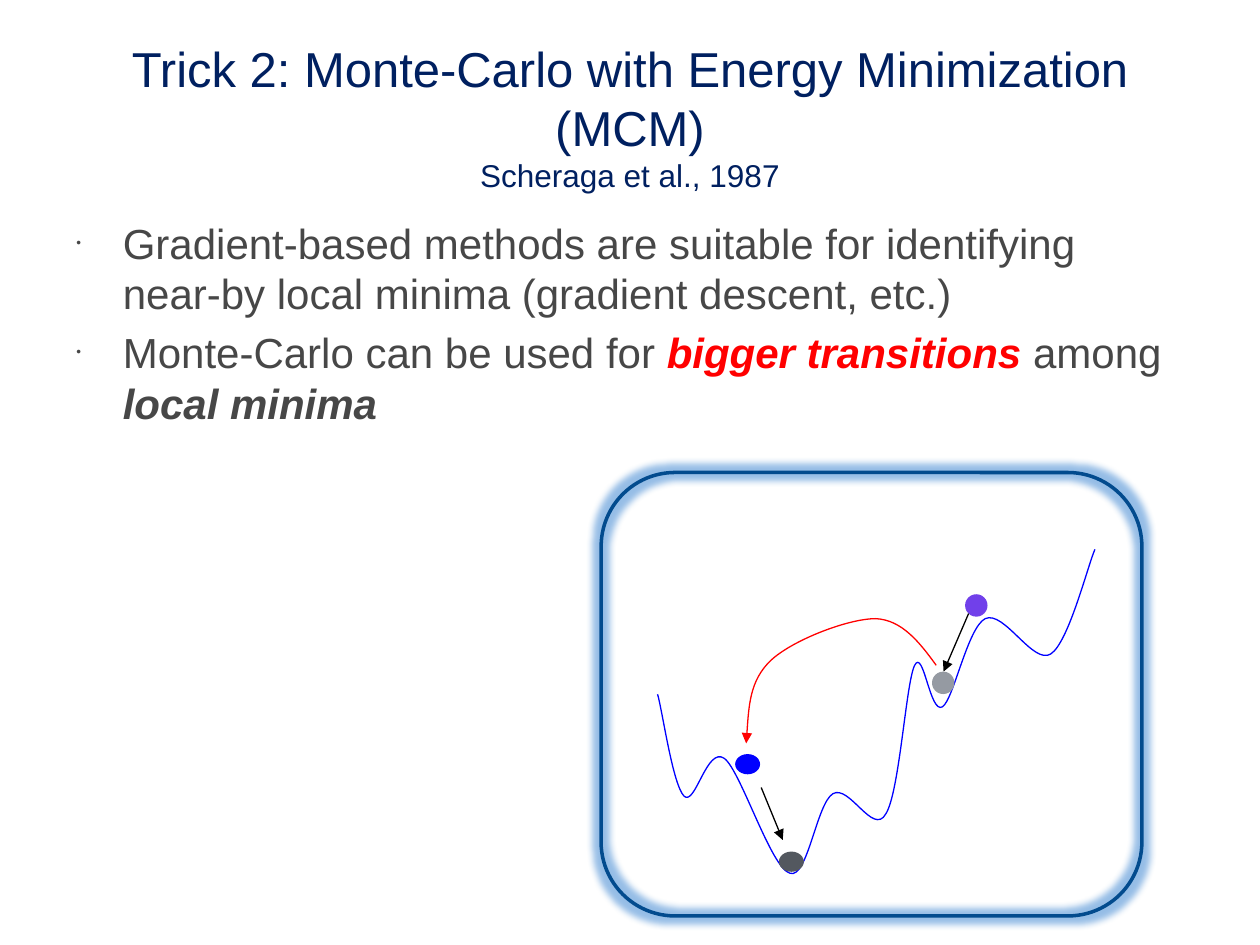
from dataclasses import dataclass

from lxml import etree
from pptx import Presentation
from pptx.dml.color import RGBColor
from pptx.enum.shapes import MSO_CONNECTOR, MSO_SHAPE
from pptx.enum.text import MSO_ANCHOR, MSO_AUTO_SIZE, PP_ALIGN
from pptx.oxml.ns import qn
from pptx.util import Pt

OVAL = MSO_SHAPE.OVAL
ROUNDED = MSO_SHAPE.ROUNDED_RECTANGLE
STRAIGHT = MSO_CONNECTOR.STRAIGHT
CENTER = PP_ALIGN.CENTER
MIDDLE, TOP = MSO_ANCHOR.MIDDLE, MSO_ANCHOR.TOP
NO_FIT = MSO_AUTO_SIZE.NONE

FONT = "Arial"
COLORS = {
    "title": "002060", "body": "474747", "emphasis": "FF0000",
    "frame": "024B8E", "glow": "3F87D2", "energy": "0000FF",
    "jump": "FF0000", "descent": "000000", "start": "7140EA",
    "near": "959AA2", "landing": "0000FF", "lowest": "53585F",
}


@dataclass
class Span:
    text: str
    color: str
    size: float = 24
    strong: bool = False


@dataclass
class Ball:
    left: float
    top: float
    width: float
    height: float
    color: str
    outlined: bool


@dataclass
class Arrow:
    start: tuple[float, float]
    end: tuple[float, float]


@dataclass
class Curve:
    points: list[tuple[float, float]]
    color: str
    arrow: bool = False


TITLE = [
    Span("Trick 2: Monte-Carlo with Energy Minimization (MCM)", "title", 28),
    Span("Scheraga et al., 1987", "title", 18),
]
BULLETS = [
    [Span("Gradient-based methods are suitable for identifying near-by "
          "local minima (gradient descent, etc.)", "body")],
    [Span("Monte-Carlo can be used for ", "body"),
     Span("bigger transitions ", "emphasis", strong=True),
     Span("among ", "body"),
     Span("local minima", "body", strong=True)],
]
ENERGY = Curve([
    (375.8, 396.7), (378.7, 406.8), (384.5, 448.6), (391, 455),
    (397.4, 460.8), (403.9, 426.2), (414, 433.4),
    (423.4, 440.6), (440.6, 496.1), (451.4, 499),
    (461.5, 502.6), (466.6, 459.4), (475.9, 453.6),
    (485.3, 447.8), (499, 478.1), (506.2, 465.1),
    (514.1, 452.9), (517.7, 390.2), (522.7, 380.2),
    (527.8, 370.1), (531.4, 408.2), (538.6, 403.9),
    (545, 399.6), (553, 358.6), (563, 353.5),
    (573.8, 348.5), (590.4, 380.2), (600.5, 373.7),
    (610.6, 367.2), (621.4, 324), (625.7, 313.9),
], "energy")
JUMP = Curve([
    (535, 380.2), (525.6, 367.2), (515.5, 354.2), (500.4, 353.5),
    (484.6, 353.5), (452.9, 365.8), (440.6, 377.3),
    (428.4, 388.8), (427.7, 406.8), (426.4, 424.8),
], "jump", True)
LANDING = Ball(420.5, 431.3, 13.5, 10.8, "landing", True)
LOWEST = Ball(445.5, 487, 13.5, 10.8, "lowest", True)
START = Ball(551.5, 339.6, 12.8, 12.8, "start", False)
NEAR = Ball(532.6, 383.8, 12.8, 12.8, "near", False)
TO_LOWEST = Arrow((435, 450), (447.3, 480))
TO_NEAR = Arrow((553.5, 350.6), (539.2, 383.8))


def rgb(name: str) -> RGBColor:
    return RGBColor.from_string(COLORS[name])


def set_line(shape, color: str, width: float, arrow: bool = False) -> None:
    shape.line.color.rgb = rgb(color)
    shape.line.width = Pt(width)
    if arrow:
        etree.SubElement(shape.line._get_or_add_ln(), qn("a:tailEnd"), type="triangle")


def add_span(para, item: Span) -> None:
    span = para.add_run()
    span.text = item.text
    font = span.font
    font.name, font.size = FONT, Pt(item.size)
    font.bold = font.italic = item.strong
    font.color.rgb = rgb(item.color)


def prepare_box(box, top: float, height: float, anchor, right: float) -> None:
    box.left, box.top, box.width, box.height = Pt(36), Pt(top), Pt(648), Pt(height)
    frame = box.text_frame
    frame.auto_size, frame.word_wrap, frame.vertical_anchor = NO_FIT, True, anchor
    frame.margin_left = frame.margin_top = frame.margin_bottom = Pt(4)
    frame.margin_right = Pt(right)


def fill_title(box) -> None:
    prepare_box(box, 13, 106.5, MIDDLE, 4)
    para = box.text_frame.paragraphs[0]
    para.alignment = CENTER
    for number, item in enumerate(TITLE):
        if number:
            para.add_line_break()
        add_span(para, item)


def fill_bullets(box) -> None:
    prepare_box(box, 120.2, 419.8, TOP, 10)
    for number, items in enumerate(BULLETS):
        para = box.text_frame.add_paragraph() if number else box.text_frame.paragraphs[0]
        para.space_before = Pt(5 if number else 0)
        properties = para._p.get_or_add_pPr()
        properties.set("marL", str(Pt(30.2)))
        properties.set("indent", str(Pt(-26.6)))
        etree.SubElement(properties, qn("a:buSzPct"), val="32000")
        etree.SubElement(properties, qn("a:buFont"), typeface=FONT)
        etree.SubElement(properties, qn("a:buChar"), char="•")
        for item in items:
            add_span(para, item)


def add_frame(group) -> None:
    frame = group.shapes.add_shape(ROUNDED, Pt(343.5), Pt(270), Pt(309), Pt(253.4))
    frame.fill.background()
    set_line(frame, "frame", 2)
    frame.shadow.inherit = False
    effects = frame._element.spPr.find(qn("a:effectLst"))
    glow = etree.SubElement(effects, qn("a:glow"), rad=str(Pt(8)))
    color = etree.SubElement(glow, qn("a:srgbClr"), val=COLORS["glow"])
    etree.SubElement(color, qn("a:alpha"), val="55000")


def add_curve(group, curve: Curve) -> None:
    start, *others = [(Pt(x), Pt(y)) for x, y in curve.points]
    builder = group.shapes.build_freeform(*start)
    builder.add_line_segments(others, close=False)
    shape = builder.convert_to_shape()
    segments = list(shape._element.iter(qn("a:lnTo")))
    outline = segments[0].getparent()
    for first in range(0, len(segments), 3):
        bend = etree.SubElement(outline, qn("a:cubicBezTo"))
        for segment in segments[first:first + 3]:
            bend.append(segment[0])
            outline.remove(segment)
    shape.fill.background()
    set_line(shape, curve.color, 0.75, curve.arrow)
    shape.shadow.inherit = False


def add_ball(group, ball: Ball) -> None:
    shape = group.shapes.add_shape(
        OVAL, Pt(ball.left), Pt(ball.top), Pt(ball.width), Pt(ball.height))
    shape.fill.solid()
    shape.fill.fore_color.rgb = rgb(ball.color)
    if ball.outlined:
        set_line(shape, ball.color, 0.75)
    else:
        shape.line.fill.background()
    shape.shadow.inherit = False


def add_arrow(group, arrow: Arrow) -> None:
    ends = [Pt(value) for value in (*arrow.start, *arrow.end)]
    line = group.shapes.add_connector(STRAIGHT, *ends)
    set_line(line, "descent", 0.75, True)
    etree.SubElement(line._element.spPr, qn("a:effectLst"))


def main() -> None:
    deck = Presentation()
    deck.slide_width, deck.slide_height = Pt(720), Pt(540)
    page = deck.slides.add_slide(deck.slide_layouts[1])
    fill_title(page.shapes.title)
    fill_bullets(page.placeholders[1])
    landscape = page.shapes.add_group_shape()
    add_frame(landscape)
    add_curve(landscape, ENERGY)
    add_ball(landscape, LANDING)
    add_ball(landscape, LOWEST)
    add_arrow(landscape, TO_LOWEST)
    add_ball(landscape, START)
    add_curve(landscape, JUMP)
    add_arrow(landscape, TO_NEAR)
    add_ball(landscape, NEAR)
    deck.save("out.pptx")


if __name__ == "__main__":
    main()
